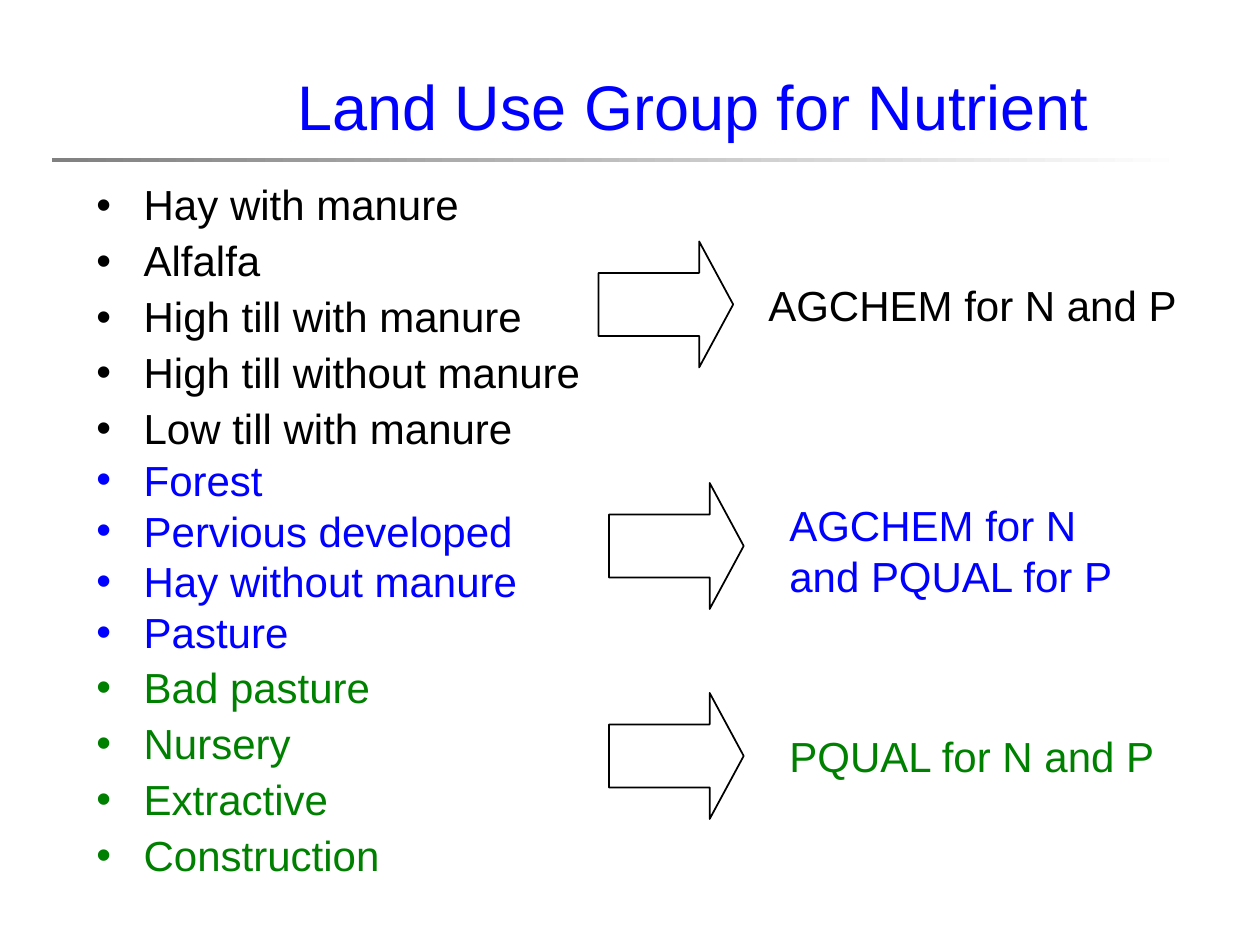
from lxml import etree
from pptx import Presentation
from pptx import util as u
from pptx.dml.color import RGBColor
from pptx.enum import shapes, text
from pptx.oxml.ns import qn

COLOURS = {"black": "000000", "blue": "0000FF", "green": "008000",
           "grey": "808080", "white": "FFFFFF"}


def rgb(name):
    return RGBColor.from_string(COLOURS[name])


def write(paragraph, words, size=24, colour="black", font="Arial", align=None,
          spacing=None, before=0, bullet_indent=None):
    """Fill one paragraph and format it."""
    if bullet_indent:
        props = paragraph._p.get_or_add_pPr()
        props.set("marL", str(u.Pt(bullet_indent)))
        props.set("indent", str(-u.Pt(bullet_indent)))
        bullet_colour = etree.SubElement(props, qn("a:buClr"))
        etree.SubElement(bullet_colour, qn("a:srgbClr"), val=COLOURS[colour])
        etree.SubElement(props, qn("a:buFont"), typeface=font)
        etree.SubElement(props, qn("a:buChar"), char="•")
    paragraph.alignment = align
    paragraph.line_spacing = spacing
    paragraph.space_before = u.Pt(before)
    run = paragraph.add_run()
    run.text = words
    run.font.name = font
    run.font.size = u.Pt(size)
    run.font.color.rgb = rgb(colour)


class NutrientSlide:
    def __init__(self, deck):
        self.slide = deck.slides.add_slide(deck.slide_layouts[6])

    def frame(self, left, top, width, height, anchor=text.MSO_ANCHOR.TOP):
        box = self.slide.shapes.add_textbox(*map(u.Pt, (left, top, width, height)))
        box.text_frame.word_wrap = True
        box.text_frame.vertical_anchor = anchor
        return box.text_frame

    def title(self, words, *place):
        heading = self.frame(*place, anchor=text.MSO_ANCHOR.MIDDLE)
        write(heading.paragraphs[0], words, size=36, colour="blue",
              align=text.PP_ALIGN.CENTER)

    def land_uses(self, groups, *place):
        uses = self.frame(*place)
        paragraph = uses.paragraphs[0]
        before = 0
        for colour, spacing, names in groups:
            for name in names:
                paragraph = paragraph if before == 0 else uses.add_paragraph()
                write(paragraph, name, colour=colour, spacing=spacing,
                      before=before, bullet_indent=27)
                before = 6

    def method(self, words, colour, *place):
        label = self.frame(*place)
        label.auto_size = text.MSO_AUTO_SIZE.SHAPE_TO_FIT_TEXT
        write(label.paragraphs[0], words, colour=colour)

    def shape(self, kind, left, top, width, height):
        item = self.slide.shapes.add_shape(kind, *map(u.Pt, (left, top, width, height)))
        item.shadow.inherit = False
        return item

    def rule(self, *place):
        bar = self.shape(shapes.MSO_SHAPE.RECTANGLE, *place)
        bar.line.fill.background()
        bar.fill.gradient()
        bar.fill.gradient_angle = 180
        for stop, colour, position in zip(bar.fill.gradient_stops, ("white", "grey"), (0, 1)):
            stop.color.rgb = rgb(colour)
            stop.position = position

    def arrow(self, left, top):
        pointer = self.shape(shapes.MSO_SHAPE.RIGHT_ARROW, left, top, 77, 72)
        pointer.adjustments[1] = 0.27
        pointer.fill.background()
        pointer.line.color.rgb = rgb("black")
        pointer.line.width = u.Pt(1)


def main():
    deck = Presentation()
    deck.slide_width, deck.slide_height = u.Pt(720), u.Pt(540)
    page = NutrientSlide(deck)

    # Title, land use list and the rule between them
    page.title("Land Use Group for Nutrient", 90, 36, 612, 48)
    page.land_uses([
        ("black", 0.9, ["Hay with manure", "Alfalfa", "High till with manure",
                        "High till without manure", "Low till with manure"]),
        ("blue", 0.8, ["Forest", "Pervious developed", "Hay without manure", "Pasture"]),
        ("green", 0.9, ["Bad pasture", "Nursery", "Extractive", "Construction"]),
    ], 48, 102, 312, 408)
    page.rule(30, 90, 648, 2.4)

    # Modelling method of each group
    page.method("AGCHEM for N and P", "black", 432, 156, 258, 36)
    page.method("AGCHEM for N and PQUAL for P", "blue", 444, 282, 222, 65)
    page.method("PQUAL for N and P", "green", 444, 414, 240, 36)

    # Arrows from groups to methods
    for left, top in [(348, 396), (348, 276), (342, 138)]:
        page.arrow(left, top)

    deck.save("out.pptx")


if __name__ == "__main__":
    main()
